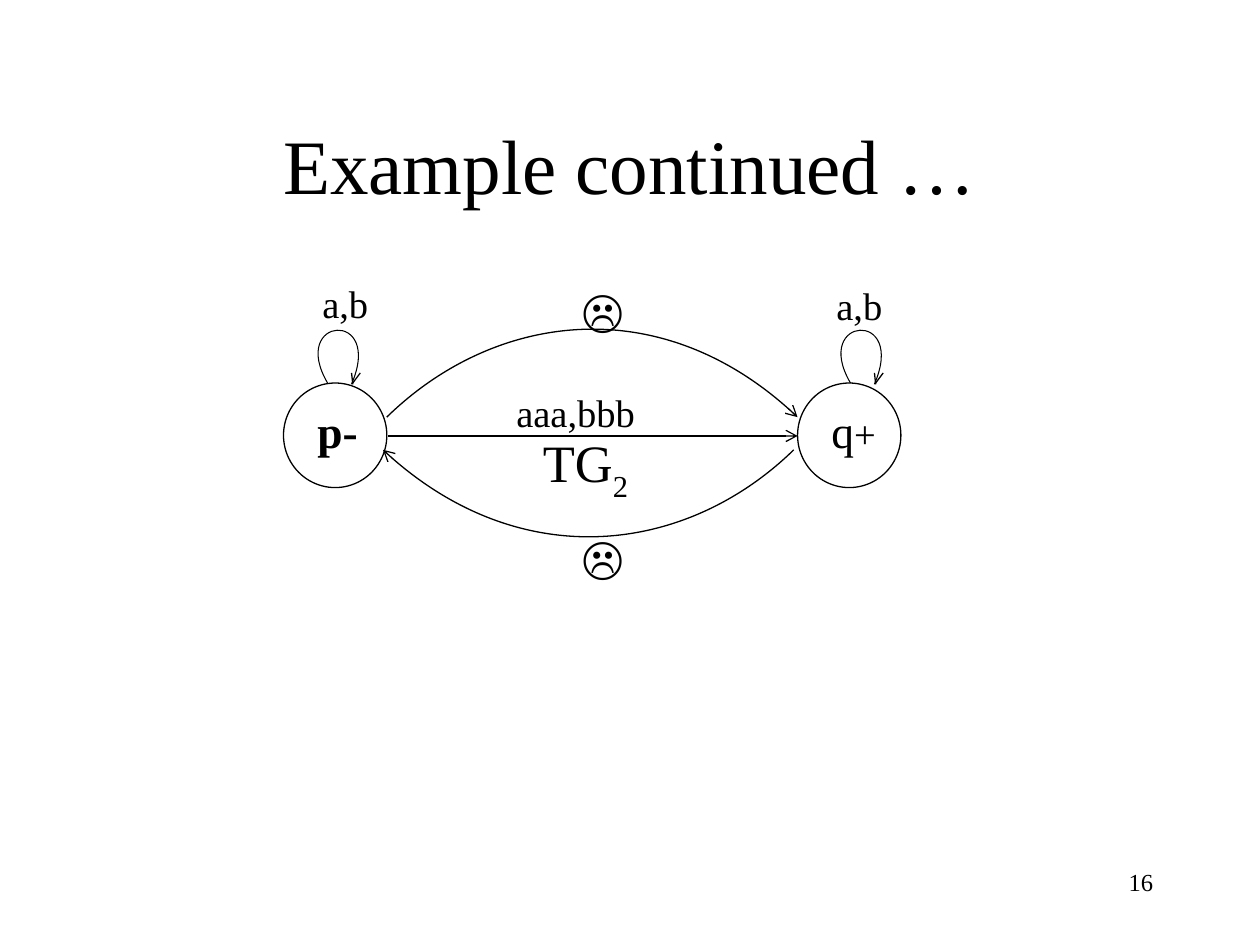
"""Builds a slide with a two-state transition graph."""
from pptx import Presentation
from pptx.dml.color import RGBColor
from pptx.enum.shapes import MSO_CONNECTOR as Connector, MSO_SHAPE as Preset
from pptx.enum.text import MSO_ANCHOR as Anchor, PP_ALIGN as Align
from pptx.oxml.ns import qn
from pptx.util import Inches, Pt
from lxml.etree import SubElement


def colour(value):
    return RGBColor.from_string(value)


class Graph:
    font = "Times New Roman"
    ink = "000000"
    paper = "FFFFFF"

    def __init__(self, slide):
        self.shapes = slide.shapes

    def outline(self, shape, width, arrow=False):
        shape.line.color.rgb = colour(self.ink)
        shape.line.width = Pt(width)
        if arrow:
            ln = shape.line._get_or_add_ln()
            SubElement(ln, qn("a:tailEnd")).set("type", "arrow")

    def label(self, box, runs, align=Align.LEFT, anchor=Anchor.TOP, font=None):
        frame = self.shapes.add_textbox(*map(Inches, box)).text_frame
        frame.word_wrap = True
        frame.vertical_anchor = anchor
        paragraph = frame.paragraphs[0]
        paragraph.alignment = align
        for text, size, *style in runs:
            run = paragraph.add_run()
            run.text = text
            run.font.name = font or self.font
            run.font.size = Pt(size)
            run.font.bold = "bold" in style
            run.font.color.rgb = colour(self.ink)
            if "sub" in style:
                run._r.get_or_add_rPr().set("baseline", "-30000")

    def state(self, left, top):
        circle = self.shapes.add_shape(
            Preset.OVAL, *map(Inches, (left, top, 0.82, 0.83)))
        circle.shadow.inherit = False
        circle.fill.solid()
        circle.fill.fore_color.rgb = colour(self.paper)
        self.outline(circle, 0.75)

    def edge(self, start, end):
        line = self.shapes.add_connector(
            Connector.STRAIGHT, *map(Inches, start + end))
        SubElement(line._element.spPr, qn("a:effectLst"))
        self.outline(line, 0.75, arrow=True)
        ln = line.line._get_or_add_ln()
        ln.getparent().insert(ln.getparent().index(ln) + 1,
                              line._element.spPr.find(qn("a:effectLst")))

    def stroke(self, points, width=0.75, arrow=False):
        start, *rest = [tuple(map(Inches, point)) for point in points]
        builder = self.shapes.build_freeform(*start)
        builder.add_line_segments(rest, close=False)
        shape = builder.convert_to_shape()
        shape.shadow.inherit = False
        shape.fill.background()
        self.outline(shape, width, arrow)
        return shape

    def curve(self, points, width=0.75, arrow=False):
        shape = self.stroke(points, width, arrow)
        path = shape._element.find(".//" + qn("a:path"))
        bezier = SubElement(path, qn("a:cubicBezTo"))
        for segment in path.findall(qn("a:lnTo")):
            bezier.append(segment[0])
            path.remove(segment)

    def loop(self, x):
        self.curve([(x, 3.04), (x - 0.31, 2.51), (x + 0.45, 2.45),
                    (x + 0.19, 3.05)], 0.6)
        self.stroke([(x + 0.2, 3.04), (x + 0.26, 2.96)])
        self.stroke([(x + 0.19, 2.96), (x + 0.2, 3.05)])


def main():
    deck = Presentation()
    deck.slide_width, deck.slide_height = Inches(10), Inches(7.5)
    graph = Graph(deck.slides.add_slide(deck.slide_layouts[6]))

    graph.label((0.75, 0.67, 8.5, 1.25), [("Example continued …", 44)],
                Align.CENTER, Anchor.MIDDLE)
    for left in (2.25, 6.33):
        graph.state(left, 3.04)
    graph.edge((3.08, 3.46), (6.33, 3.46))
    graph.label((4, 3.04, 1.42, 0.67), [("aaa,bbb", 22)])
    for left, top in ((6.54, 2.19), (2.46, 2.17)):
        graph.label((left, top, 0.98, 0.67), [("a,b", 22)])
    graph.label((6.5, 3.15, 0.98, 0.67), [("q", 26), ("+", 22)])
    graph.label((2.42, 3.15, 0.98, 0.67), [("p-", 26, "bold")])
    for x in (2.6, 6.75):
        graph.loop(x)
    graph.label((4.21, 3.36, 1.33, 0.69), [("TG", 30), ("2", 30, "sub")])
    graph.curve([(6.3, 3.57), (5.47, 4.38), (4.12, 4.58), (3.04, 3.57)],
                arrow=True)
    graph.curve([(3.07, 3.31), (3.91, 2.49), (5.26, 2.29), (6.33, 3.31)],
                arrow=True)
    for top in (2.19, 4.15):
        graph.label((4.52, top, 1.17, 0.54), [("☹", 26)], font="Cambria")
    graph.label((7.17, 6.83, 2.08, 0.5), [("16", 14)], Align.RIGHT)

    deck.save("out.pptx")


if __name__ == "__main__":
    main()
